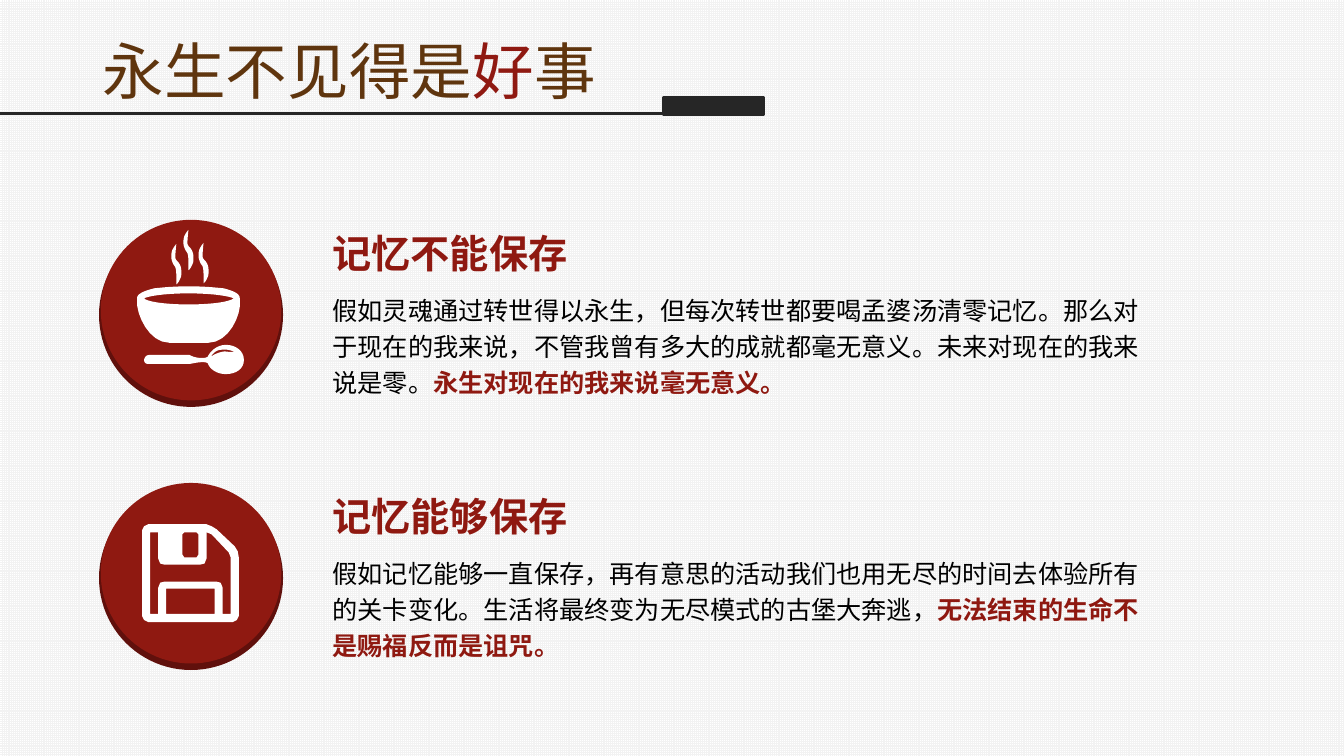
from lxml import etree
from pptx import Presentation
from pptx.dml.color import RGBColor
from pptx.enum.dml import MSO_PATTERN
from pptx.enum.shapes import MSO_CONNECTOR, MSO_SHAPE
from pptx.enum.text import MSO_ANCHOR
from pptx.oxml.ns import qn
from pptx.util import Cm, Pt

GRID = MSO_PATTERN.SMALL_GRID
LINE = MSO_CONNECTOR.STRAIGHT
RECT, OVAL = MSO_SHAPE.RECTANGLE, MSO_SHAPE.OVAL
TOP, MIDDLE = MSO_ANCHOR.TOP, MSO_ANCHOR.MIDDLE

# Content: text runs are (text, colour name, bold)
TITLE = [("永生不见得是", "brown", False), ("好", "red", False), ("事", "brown", False)]
ITEMS = [
    ("记忆不能保存",
     "假如灵魂通过转世得以永生，但每次转世都要喝孟婆汤清零记忆。那么对于现在的我来说，"
     "不管我曾有多大的成就都毫无意义。未来对现在的我来说是零。",
     "永生对现在的我来说毫无意义。", "soup"),
    ("记忆能够保存",
     "假如记忆能够一直保存，再有意思的活动我们也用无尽的时间去体验所有的关卡变化。"
     "生活将最终变为无尽模式的古堡大奔逃，",
     "无法结束的生命不是赐福反而是诅咒。", "disk"),
]

# Icon outlines, in hundredths of an inch from the disc's corner.
# A pair is a straight step; six numbers are a Bezier step.
BOWL = [
    [(68, 122), (107, 122), (127, 122, 140, 94, 138, 80), (138, 78),
     (138, 74, 134, 71, 122, 68), (113, 67, 101, 66, 88, 66),
     (73, 66, 62, 67, 53, 68), (41, 71, 36, 74, 36, 78), (36, 80),
     (35, 94, 48, 122, 68, 122)],
    [(87, 73), (113, 73, 128, 76, 132, 78), (128, 81, 113, 84, 87, 84),
     (62, 84, 46, 81, 43, 78), (46, 76, 62, 73, 87, 73)],
]
SPOON = [
    [(142, 139), (142, 130, 134, 124, 124, 124), (115, 124, 108, 131, 106, 136),
     (102, 138, 93, 137, 88, 134), (48, 134), (45, 134, 43, 137, 43, 139),
     (43, 142, 45, 143, 48, 143), (88, 143), (93, 142, 102, 140, 106, 142),
     (108, 148, 115, 153, 124, 153), (134, 153, 142, 148, 142, 139)],
    [(132, 131), (128, 131), (126, 131, 123, 130, 120, 131),
     (116, 132, 113, 133, 109, 136), (112, 131, 116, 129, 119, 129),
     (123, 128, 128, 129, 133, 131)],
]
STEAM = [
    [(2, 20), (4, 23), (5, 26, 5, 30, 5, 33), (5, 40), (5, 40, 7, 39, 9, 34),
     (10, 32, 10, 30, 10, 28), (10, 23, 9, 21, 7, 18), (5, 16, 4, 15, 4, 13),
     (4, 9, 5, 0, 5, 0), (5, 0, 3, 2, 1, 6), (0, 9, 0, 11, 0, 13),
     (0, 15, 1, 18, 2, 20)],
]
FLOPPY = [
    [(136, 68), (133, 63), (115, 46), (110, 43), (105, 41), (47, 41), (43, 43),
     (41, 47), (41, 132), (43, 136), (47, 138), (131, 138), (135, 136),
     (137, 132), (137, 74)],
    [(81, 51), (83, 49), (95, 49), (97, 51), (97, 71), (95, 74), (83, 74), (81, 71)],
    [(65, 130), (65, 105), (113, 105), (113, 130)],
    [(129, 130), (121, 130), (121, 104), (119, 99), (115, 98), (63, 98), (59, 99),
     (57, 104), (57, 130), (49, 130), (49, 49), (57, 49), (57, 75), (59, 80),
     (63, 81), (99, 81), (103, 80), (105, 75), (105, 49), (110, 51), (127, 69),
     (129, 74)],
]
# Each icon part: outline and shift
ICONS = {
    "soup": [(BOWL, 0, 0), (STEAM, 70, 24), (STEAM, 82, 10), (STEAM, 97, 23),
             (SPOON, 0, 0)],
    "disk": [(FLOPPY, 0, 0)],
}

THEME = {
    "font": "Noto Sans CJK SC",
    "brown": "5F350E", "red": "8F1911", "deep": "60100C", "dark": "262626",
    "black": "000000", "white": "FFFFFF", "grid": "F2F2F2",
    "title": 44, "head": 28, "body": 18,
}
UNIT = Cm(2.54) / 100
STEPS = 8
LEFT, FIRST, PITCH, DISC, DEPTH = 2.54, 5.54, 6.63, 4.55, 0.12
TEXT = 8.13


def tint(name):
    return RGBColor.from_string(THEME[name])


def add_text(slide, box, runs, size, anchor=TOP, wrap=True, space=None):
    frame = slide.shapes.add_textbox(*map(Cm, box)).text_frame
    frame.word_wrap = wrap
    frame.vertical_anchor = anchor
    para = frame.paragraphs[0]
    if space:
        para.line_spacing = space
    for text, color, bold in runs:
        run = para.add_run()
        run.text = text
        font = run.font
        font.name, font.size, font.bold = THEME["font"], Pt(THEME[size]), bold
        font.color.rgb = tint(color)
        east = etree.SubElement(font._element, qn("a:ea"))
        east.set("typeface", THEME["font"])


def paint(shape, color, edge=None):
    shape.shadow.inherit = False
    shape.fill.solid()
    shape.fill.fore_color.rgb = tint(color)
    if edge:
        shape.line.color.rgb = tint(color)
        shape.line.width = Pt(edge)
    else:
        shape.line.fill.background()


def add_form(slide, kind, box, color, edge=None):
    paint(slide.shapes.add_shape(kind, *map(Cm, box)), color, edge)


def trace(steps, dx, dy):
    """Turn straight and Bezier steps into a dense list of points."""
    points = []
    for step in steps:
        if len(step) == 2:
            points.append(step)
            continue
        knots = [points[-1], step[:2], step[2:4], step[4:]]
        for i in range(1, STEPS + 1):
            t = i / STEPS
            u = 1 - t
            parts = (u ** 3, 3 * u * u * t, 3 * u * t * t, t ** 3)
            points.append(tuple(sum(w * k[axis] for w, k in zip(parts, knots))
                                for axis in (0, 1)))
    return [((x + dx) * UNIT, (y + dy) * UNIT) for x, y in points]


def add_icon(slide, name, left, top):
    for outline, dx, dy in ICONS[name]:
        first, *holes = [trace(steps, dx, dy) for steps in outline]
        form = slide.shapes.build_freeform(*first[0])
        form.add_line_segments(first[1:], close=True)
        for hole in holes:
            form.move_to(*hole[0])
            form.add_line_segments(hole[1:], close=True)
        paint(form.convert_to_shape(Cm(left), Cm(top)), "white")


def add_header(slide):
    add_text(slide, (2.34, 0.69, 29.21, 2.13), TITLE, "title", anchor=MIDDLE)
    rule = slide.shapes.add_connector(LINE, Cm(16.74), Cm(2.87), Cm(0), Cm(2.87))
    rule.line.color.rgb = tint("dark")
    rule.line.width = Pt(2.25)
    etree.SubElement(rule._element.spPr, qn("a:effectLst"))
    add_form(slide, RECT, (16.74, 2.46, 2.49, 0.43), "dark", edge=2.5)


def add_item(slide, top, head, body, point, icon):
    add_form(slide, OVAL, (LEFT, top + DEPTH, DISC, DISC), "deep", edge=2.5)
    add_form(slide, OVAL, (LEFT, top, DISC, DISC), "red")
    add_icon(slide, icon, LEFT, top)
    add_text(slide, (TEXT, top + 0.11, 7.01, 1.45), [(head, "red", True)], "head",
             wrap=False)
    add_text(slide, (TEXT, top + 1.62, 21.44, 3.02),
             [(body, "black", False), (point, "red", True)], "body", space=1.2)


def main():
    deck = Presentation()
    deck.slide_width, deck.slide_height = Cm(33.87), Cm(19.05)
    slide = deck.slides.add_slide(deck.slide_layouts[6])
    back = slide.background.fill
    back.patterned()
    back.pattern = GRID
    back.fore_color.rgb, back.back_color.rgb = tint("grid"), tint("white")
    add_header(slide)
    for row, item in enumerate(ITEMS):
        add_item(slide, FIRST + row * PITCH, *item)
    deck.save("out.pptx")


if __name__ == "__main__":
    main()
